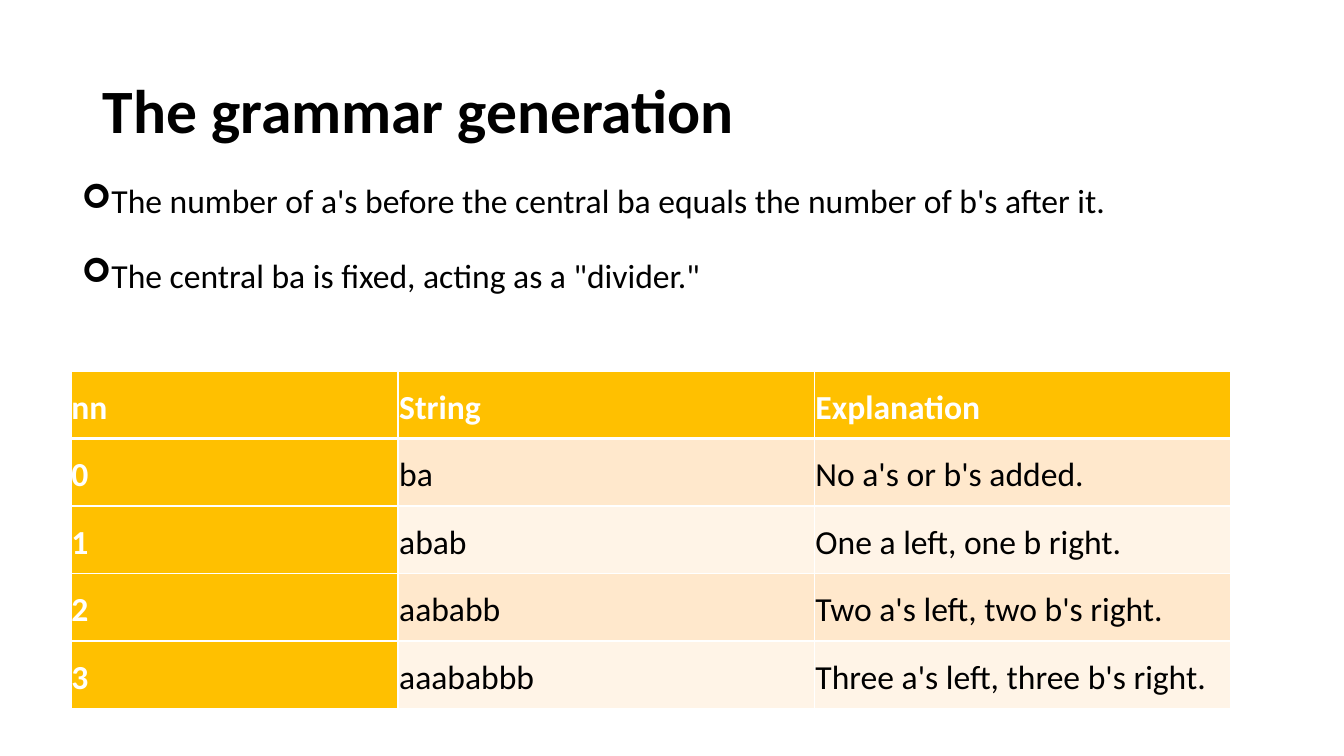
from lxml.etree import SubElement
from pptx import Presentation
from pptx.dml.color import RGBColor
from pptx.enum.text import MSO_ANCHOR as Anchor, MSO_AUTO_SIZE as AutoSize, PP_ALIGN as Align
from pptx.oxml.ns import qn
from pptx.util import Cm, Pt

# Content
TITLE = "The grammar generation"
POINTS = [
    "The number of a's before the central ba equals the number of b's after it.",
    'The central ba is fixed, acting as a "divider."',
]
ROWS = [
    ("nn", "String", "Explanation"),
    ("0", "ba", "No a's or b's added."),
    ("1", "abab", "One a left, one b right."),
    ("2", "aababb", "Two a's left, two b's right."),
    ("3", "aaababbb", "Three a's left, three b's right."),
]

# Look
COLORS = {"text": "000000", "light": "FFFFFF", "head": "FFC000",
          "odd": "FFE8CC", "even": "FFF4E7"}
TITLE_BOX = (2.34, 1.02, 29.21, 3.68)
BODY_BOX = (1.8, 3.91, 29.21, 4.95)
TABLE_LEFT, TABLE_TOP, ROW_HEIGHT = 1.8, 9.35, 1.7
COLUMN_WIDTHS = (8.23, 10.49, 10.49)
TITLE_FORMAT = {"alignment": Align.LEFT, "line_spacing": 0.9}
POINT_FORMAT = {"alignment": Align.LEFT, "line_spacing": 1.5, "space_before": Pt(10)}
CELL_FORMAT = {"alignment": Align.LEFT, "line_spacing": 1.15, "space_after": Pt(8)}
BULLET_INDENT = Cm(0.64)
CELL_MARGIN = Cm(0.03)


def set_all(target, values):
    for name, value in values.items():
        setattr(target, name, value)


def write(paragraph, text, layout, size, color="text", bold=False):
    run = paragraph.add_run()
    run.text = text
    set_all(paragraph, layout)
    set_all(run.font, {"name": "Calibri", "size": Pt(size), "bold": bold})
    run.font.color.rgb = RGBColor.from_string(COLORS[color])


def place(shape, box, anchor):
    set_all(shape, dict(zip(("left", "top", "width", "height"), map(Cm, box))))
    set_all(shape.text_frame, {"word_wrap": True, "auto_size": AutoSize.NONE,
                               "vertical_anchor": anchor})


def add_bullet(paragraph):
    properties = paragraph._p.get_or_add_pPr()
    properties.set("marL", str(BULLET_INDENT))
    properties.set("indent", str(-BULLET_INDENT))
    SubElement(properties, qn("a:buFont"), typeface="Wingdings")
    SubElement(properties, qn("a:buChar"), char="➢")


def add_borders(cell, widths):
    properties = cell._tc.get_or_add_tcPr()
    for side, width in widths.items():
        line = SubElement(properties, qn(f"a:ln{side}"), w=str(Pt(width)))
        fill = SubElement(line, qn("a:solidFill"))
        SubElement(fill, qn("a:srgbClr"), val=COLORS["light"])


presentation = Presentation()
presentation.slide_width, presentation.slide_height = Cm(33.87), Cm(19.05)
slide = presentation.slides.add_slide(presentation.slide_layouts[1])

# Title
title, body = slide.placeholders
place(title, TITLE_BOX, Anchor.MIDDLE)
write(title.text_frame.paragraphs[0], TITLE, TITLE_FORMAT, 44, bold=True)

# Bulleted points
place(body, BODY_BOX, Anchor.TOP)
for index, point in enumerate(POINTS):
    frame = body.text_frame
    paragraph = frame.add_paragraph() if index else frame.paragraphs[0]
    write(paragraph, point, POINT_FORMAT, 24)
    add_bullet(paragraph)

# Table of generated strings
table = slide.shapes.add_table(
    len(ROWS), len(COLUMN_WIDTHS), Cm(TABLE_LEFT), Cm(TABLE_TOP),
    Cm(sum(COLUMN_WIDTHS)), Cm(ROW_HEIGHT * len(ROWS))).table
table.first_col = True
for column, width in zip(table.columns, COLUMN_WIDTHS):
    column.width = Cm(width)
for r, texts in enumerate(ROWS):
    table.rows[r].height = Cm(ROW_HEIGHT)
    for c, text in enumerate(texts):
        cell = table.cell(r, c)
        heading = r == 0 or c == 0
        set_all(cell, {"vertical_anchor": Anchor.MIDDLE,
                       "margin_left": CELL_MARGIN if c else 0,
                       "margin_right": CELL_MARGIN,
                       "margin_top": CELL_MARGIN, "margin_bottom": CELL_MARGIN})
        add_borders(cell, {"L": 1, "R": 1, "T": 3 if r == 1 else 1, "B": 1 if r else 3})
        cell.fill.solid()
        fill_name = "head" if heading else "odd" if r % 2 else "even"
        cell.fill.fore_color.rgb = RGBColor.from_string(COLORS[fill_name])
        write(cell.text_frame.paragraphs[0], text, CELL_FORMAT, 24,
              "light" if heading else "text", heading)

presentation.save("out.pptx")
